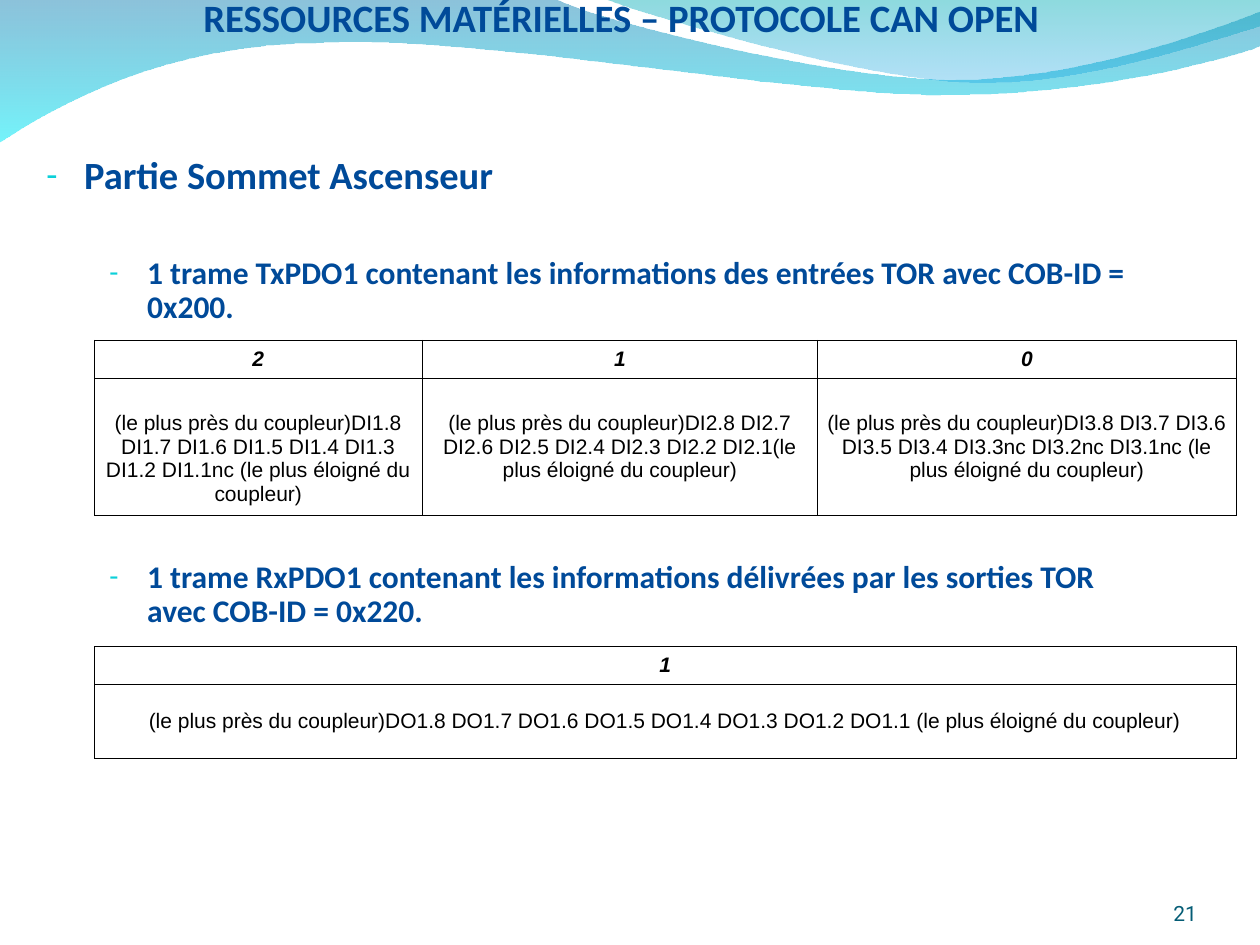
from lxml.etree import SubElement
from pptx import Presentation
from pptx.dml.color import RGBColor
from pptx.enum.text import MSO_ANCHOR as Anchor, PP_ALIGN as Align
from pptx.oxml.ns import qn
from pptx.util import Inches, Pt

NAVY = RGBColor(0x00, 0x4A, 0x99)
TEAL = RGBColor(0x04, 0x5C, 0x75)
CYAN = RGBColor(0x0B, 0xD0, 0xD9)
BLACK = RGBColor(0x00, 0x00, 0x00)
WAVE_TOP = RGBColor(0x00, 0x79, 0xAF)
WAVE_BOTTOM = RGBColor(0x00, 0xEB, 0xF8)
CREST_TOP = RGBColor(0x00, 0xAD, 0xB6)
CREST_BOTTOM = RGBColor(0x00, 0x9B, 0xE5)

LONG_WAVE = [
    (0, -0.01), (4.4, -0.01),
    (4.76, 0.17, 6.64, 0.63, 7.58, 0.63), (8.53, 0.63, 9.58, 0.26, 10, 0.09),
    (10.01, 0.36),
    (9.83, 0.44, 8.7, 0.76, 7.46, 0.75), (6.22, 0.75, 3.82, 0.28, 2.57, 0.34),
    (1.29, 0.35, 0.46, 0.83, -0.01, 1.13),
]
CREST = [
    (4.79, -0.01),
    (5.09, 0.11, 6.82, 0.62, 7.69, 0.65), (8.56, 0.69, 9.61, 0.32, 10, 0.21),
    (10, 0),
]
BULLETS = [
    ("Partie Sommet Ascenseur", 0, 22, 0),
    ("1 trame TxPDO1 contenant les informations des entrées TOR avec COB-ID = 0x200.", 1, 18, 34.2),
    ("1 trame RxPDO1 contenant les informations délivrées par les sorties TOR avec COB-ID = 0x220.", 1, 18, 134.7),
]
INPUTS = [
    ["2", "1", "0"],
    [
        "(le plus près du coupleur)DI1.8 DI1.7 DI1.6 DI1.5 DI1.4 DI1.3 DI1.2 DI1.1nc (le plus éloigné du coupleur)",
        "(le plus près du coupleur)DI2.8 DI2.7 DI2.6 DI2.5 DI2.4 DI2.3 DI2.2 DI2.1(le plus éloigné du coupleur)",
        "(le plus près du coupleur)DI3.8 DI3.7 DI3.6 DI3.5 DI3.4 DI3.3nc DI3.2nc DI3.1nc (le plus éloigné du coupleur)",
    ],
]
OUTPUTS = [
    ["1"],
    ["(le plus près du coupleur)DO1.8 DO1.7 DO1.6 DO1.5 DO1.4 DO1.3 DO1.2 DO1.1 (le plus éloigné du coupleur)"],
]


def add_element(parent, tag, **attributes):
    """Append a DrawingML element and return it."""
    return SubElement(parent, qn(tag), attributes)


def add_curve_shape(page, segments):
    """Build a closed freeform whose six-number segments are Bézier curves."""
    points = [
        (Inches(segment[i]), Inches(segment[i + 1]))
        for segment in segments for i in range(0, len(segment), 2)]
    builder = page.shapes.build_freeform(*points[0])
    builder.add_line_segments(points[1:], close=True)
    shape = builder.convert_to_shape()
    lines = iter(list(shape.element.spPr.iter(qn("a:lnTo"))))
    for segment in segments[1:]:
        line = next(lines)
        if len(segment) == 6:
            line.tag = qn("a:cubicBezTo")
            for extra in (next(lines), next(lines)):
                line.append(extra[0])
                extra.getparent().remove(extra)
    return shape


def add_wave(page, segments, stops):
    """Draw a wave filled with a translucent vertical gradient."""
    wave = add_curve_shape(page, segments)
    wave.shadow.inherit = False
    wave.line.fill.background()
    wave.fill.gradient()
    wave.fill.gradient_angle = 270
    for stop, (color, opacity) in zip(wave.fill.gradient_stops, stops):
        stop.color.rgb = color
    for tint, (color, opacity) in zip(wave.element.spPr.iter(qn("a:srgbClr")), stops):
        add_element(tint, "a:alpha", val=str(opacity * 1000))


def style(para, name, size, color, bold=False, italic=False):
    """Set the font of a whole paragraph."""
    font = para.font
    font.name, font.size, font.bold, font.italic = name, Pt(size), bold, italic
    font.color.rgb = color


def add_frame(page, left, top, width, height, margins):
    """Add a wrapping text box with horizontal and vertical margins."""
    frame = page.shapes.add_textbox(Inches(left), Inches(top), Inches(width), Inches(height)).text_frame
    frame.word_wrap = True
    frame.margin_left = frame.margin_right = Inches(margins[0])
    frame.margin_top = frame.margin_bottom = Inches(margins[1])
    return frame


def add_title(page, left, top, width, height):
    """Write the centred slide title."""
    para = add_frame(page, left, top, width, height, (0.1, 0.05)).paragraphs[0]
    para.text = "RESSOURCES MATÉRIELLES – PROTOCOLE CAN OPEN"
    para.alignment = Align.CENTER
    para.line_spacing = 0.7
    style(para, "Calibri", 22.1, NAVY, bold=True)


def add_page_number(page, left, top, width, height):
    """Write the page number at the lower right."""
    frame = add_frame(page, left, top, width, height, (0, 0))
    frame.vertical_anchor = Anchor.BOTTOM
    para = frame.paragraphs[0]
    para.text = "21"
    para.alignment = Align.RIGHT
    style(para, "Roboto", 12, TEAL)


def add_bullets(page, left, top, width, height):
    """Write the dashed outline."""
    frame = add_frame(page, left, top, width, height, (0.1, 0.05))
    for index, (text, level, size, gap) in enumerate(BULLETS):
        para = frame.add_paragraph() if index else frame.paragraphs[0]
        para.text = text
        para.level = level
        para.line_spacing = 0.9
        para.space_before = Pt(gap)
        properties = para._p.get_or_add_pPr()
        properties.set("marL", str(Inches(0.3 + 0.5 * level)))
        properties.set("indent", str(Inches(-0.3)))
        add_element(add_element(properties, "a:buClr"), "a:srgbClr", val=str(CYAN))
        add_element(properties, "a:buSzPct", val="95000")
        add_element(properties, "a:buFont", typeface="Calibri")
        add_element(properties, "a:buChar", char="-")
        style(para, "Calibri", size, NAVY, bold=True)


def style_cell(cell, text, heading):
    """Fill one bordered table cell with centred text."""
    cell.margin_left = cell.margin_right = cell.margin_top = cell.margin_bottom = Inches(0.05)
    cell.vertical_anchor = Anchor.MIDDLE
    properties = cell._tc.get_or_add_tcPr()
    for side in ("a:lnL", "a:lnR", "a:lnT", "a:lnB"):
        border = add_element(properties, side, w=str(Pt(0.45)))
        add_element(add_element(border, "a:solidFill"), "a:srgbClr", val=str(BLACK))
    cell.fill.background()
    para = cell.text_frame.paragraphs[0]
    para.text = text
    para.alignment = Align.CENTER
    style(para, "Arial", 12, BLACK, bold=heading, italic=heading)


def add_frame_table(page, left, top, widths, heights, rows):
    """Add a table of frame bytes under a heading row."""
    table = page.shapes.add_table(
        len(rows), len(widths), Inches(left), Inches(top),
        Inches(sum(widths)), Inches(sum(heights))).table
    table.first_row = table.horz_banding = False
    for column, width in zip(table.columns, widths):
        column.width = Inches(width)
    for index, (row, height, texts) in enumerate(zip(table.rows, heights, rows)):
        row.height = Inches(height)
        for cell, text in zip(row.cells, texts):
            style_cell(cell, text, heading=index == 0)
    return table


def main():
    """Build the slide and save the deck."""
    deck = Presentation()
    deck.slide_width, deck.slide_height = Inches(10), Inches(7.5)
    page = deck.slides.add_slide(deck.slide_layouts[6])
    add_wave(page, LONG_WAVE, [(WAVE_TOP, 45), (WAVE_BOTTOM, 55)])
    add_wave(page, CREST, [(CREST_TOP, 45), (CREST_BOTTOM, 30)])
    add_title(page, 0.43, 0, 9, 0.36)
    add_page_number(page, 8.67, 6.95, 0.83, 0.4)
    add_bullets(page, 0.27, 1.19, 9, 5.4)
    inputs = add_frame_table(page, 0.75, 2.7, [2.6, 3.14, 3.32], [0.21, 1], INPUTS)
    inputs.cell(1, 0).margin_top = Inches(0.24)
    add_frame_table(page, 0.75, 5.13, [9.06], [0.24, 0.59], OUTPUTS)
    deck.save("out.pptx")


if __name__ == "__main__":
    main()
